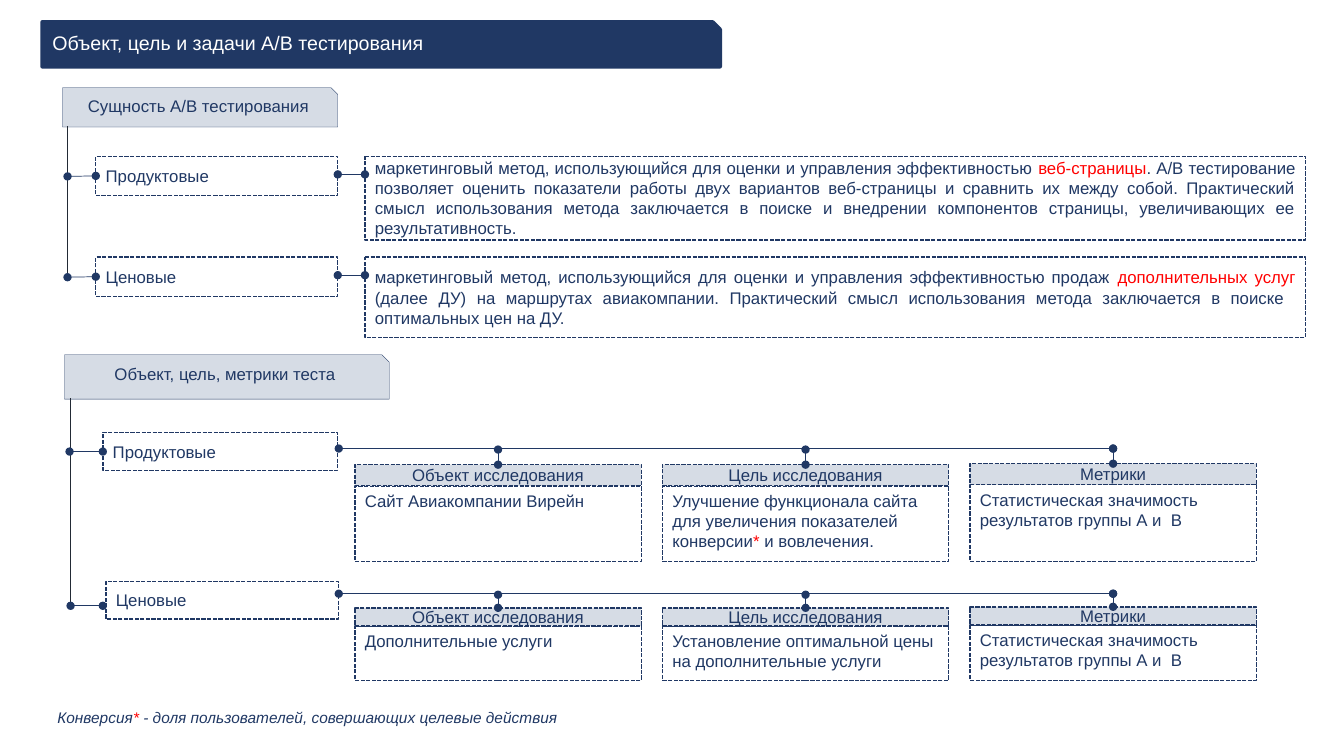
from lxml.etree import SubElement
from pptx import Presentation
from pptx.dml.color import RGBColor
from pptx.enum.dml import MSO_LINE
from pptx.enum.shapes import MSO_CONNECTOR, MSO_SHAPE
from pptx.enum.text import MSO_ANCHOR, PP_ALIGN
from pptx.oxml.ns import qn
from pptx.util import Inches, Pt

COLORS = {"navy": "203864", "pale": "D6DCE5", "white": "FFFFFF",
          "red": "FF0000", "stem": "222A35"}
FONT = "Arial"

# Pieces between bars are highlighted in red
DEFINITIONS = [
    ("Продуктовые", 0.83,
     "маркетинговый метод, использующийся для оценки и управления эффективностью "
     "|веб-страницы|. А/B тестирование позволяет оценить показатели работы двух "
     "вариантов веб-страницы и сравнить их между собой. Практический смысл "
     "использования метода заключается в поиске и внедрении компонентов страницы, "
     "увеличивающих ее результативность."),
    ("Ценовые", 0.8,
     "маркетинговый метод, использующийся для оценки и управления эффективностью "
     "продаж |дополнительных услуг |(далее ДУ) на маршрутах авиакомпании. "
     "Практический смысл использования метода заключается в поиске  оптимальных "
     "цен на ДУ."),
]
CARD_TITLES = ["Объект исследования", "Цель исследования", "Метрики"]
METRICS = "Статистическая значимость результатов группы А и  B"
PRODUCT_CARDS = [
    "Сайт Авиакомпании Вирейн",
    "Улучшение функционала сайта для увеличения показателей конверсии|*| и вовлечения.",
    METRICS,
]
PRICE_CARDS = [
    "Дополнительные услуги",
    "Установление оптимальной цены на дополнительные услуги",
    METRICS,
]


def rgb(name):
    return RGBColor.from_string(COLORS[name])


def write(frame, text, size=12, color="navy", align=PP_ALIGN.LEFT,
          anchor=MSO_ANCHOR.MIDDLE, italic=False):
    frame.word_wrap = True
    frame.vertical_anchor = anchor
    paragraph = frame.paragraphs[0]
    paragraph.alignment = align
    for index, piece in enumerate(text.split("|")):
        run = paragraph.add_run()
        run.text = piece
        run.font.name = FONT
        run.font.size = Pt(size)
        run.font.italic = italic
        run.font.color.rgb = rgb("red" if index % 2 else color)


def add_panel(slide, box, text, kind=MSO_SHAPE.RECTANGLE, fill="white",
              line_width=1, dashed=True, **style):
    panel = slide.shapes.add_shape(kind, *map(Inches, box))
    panel.shadow.inherit = False
    panel.fill.solid()
    panel.fill.fore_color.rgb = rgb(fill)
    panel.line.color.rgb = rgb("navy")
    panel.line.width = Pt(line_width)
    if dashed:
        panel.line.dash_style = MSO_LINE.SQUARE_DOT
    write(panel.text_frame, text, **style)
    return panel


def add_link(slide, start, end, color="navy", dots=True):
    link = slide.shapes.add_connector(MSO_CONNECTOR.STRAIGHT,
                                      *map(Inches, (*start, *end)))
    link.line.color.rgb = rgb(color)
    link.line.width = Pt(0.5)
    properties = link._element.spPr
    if dots:
        outline = properties.find(qn("a:ln"))
        for tip in ("a:headEnd", "a:tailEnd"):
            SubElement(outline, qn(tip), type="oval")
    SubElement(properties, qn("a:effectLst"))
    return link


def draw_title(slide, box):
    add_panel(slide, box, "Объект, цель и задачи А/B тестирования",
              MSO_SHAPE.SNIP_1_RECTANGLE, "navy", 3, False,
              size=14, color="white", anchor=MSO_ANCHOR.TOP)


def draw_section_header(slide, box, text):
    add_panel(slide, box, text, MSO_SHAPE.SNIP_1_RECTANGLE, "pale", 0.25, False,
              align=PP_ALIGN.CENTER, anchor=MSO_ANCHOR.TOP)


def draw_definitions(slide, left, top):
    """Two kinds of testing, each with its explanation."""
    draw_section_header(slide, (left, top, 2.73, 0.39), "Сущность А/В тестирования")
    trunk = left + 0.05
    add_link(slide, (trunk, top + 0.38), (trunk, top + 1.87), "stem", dots=False)
    for index, (name, height, meaning) in enumerate(DEFINITIONS):
        row = top + 0.68 + index
        add_panel(slide, (left + 3, row, 9.33, height), meaning,
                  MSO_SHAPE.FLOWCHART_PROCESS, align=PP_ALIGN.JUSTIFY)
        label = add_panel(slide, (left + 0.33, row, 2.4, 0.39), name)
        branch = add_link(slide, (trunk, row + 0.2), (left + 0.33, row + 0.2))
        branch.end_connect(label, 1)
        add_link(slide, (left + 2.73, row + 0.18), (left + 3, row + 0.18))


def draw_cards(slide, left, top, header_gap, header_height, bottom, bodies):
    """Horizontal line with three cards hanging from it."""
    width, pitch = 2.84, 3.05
    add_link(slide, (left, top), (left + 7.68, top))
    for index, (title, body) in enumerate(zip(CARD_TITLES, bodies)):
        drop = 0 if title == "Метрики" else 0.01
        card_left = left + 0.16 + index * pitch
        header_top = top + header_gap + drop
        body_top = header_top + header_height
        add_panel(slide, (card_left, body_top, width, bottom - body_top), body,
                  anchor=MSO_ANCHOR.TOP)
        header = add_panel(slide, (card_left, header_top, width, header_height),
                           title, fill="pale", align=PP_ALIGN.CENTER)
        middle = card_left + width / 2
        hanger = add_link(slide, (middle, top + drop), (middle, header_top))
        hanger.end_connect(header, 0)


def draw_tests(slide, left, top):
    """Object, goal and metrics of both tests."""
    draw_section_header(slide, (left, top, 3.22, 0.44), "Объект, цель, метрики теста")
    trunk = left + 0.06
    add_link(slide, (trunk, top + 0.43), (trunk, top + 2.53), "stem", dots=False)

    product = add_panel(slide, (left + 0.38, top + 0.77, 2.33, 0.38), "Продуктовые")
    product_branch = add_link(slide, (trunk - 0.01, top + 0.96),
                              (left + 0.38, top + 0.96))
    product_branch.end_connect(product, 1)
    draw_cards(slide, left + 2.72, top + 0.93, 0.15, 0.21, top + 2.05, PRODUCT_CARDS)

    add_panel(slide, (left + 0.41, top + 2.25, 2.31, 0.37), "Ценовые")
    add_link(slide, (trunk, top + 2.49), (left + 0.38, top + 2.49))
    draw_cards(slide, left + 2.72, top + 2.37, 0.13, 0.18, top + 3.23, PRICE_CARDS)


def draw_footnote(slide, box):
    note = slide.shapes.add_textbox(*map(Inches, box))
    write(note.text_frame,
          "Конверсия|*| - доля пользователей, совершающих целевые действия",
          size=11, anchor=MSO_ANCHOR.TOP, italic=True)


def main():
    deck = Presentation()
    deck.slide_width, deck.slide_height = Inches(13.33), Inches(7.5)
    slide = deck.slides.add_slide(deck.slide_layouts[6])
    draw_title(slide, (0.42, 0.22, 6.72, 0.44))
    draw_definitions(slide, 0.62, 0.87)
    draw_tests(slide, 0.64, 3.52)
    draw_footnote(slide, (0.47, 6.98, 9.97, 0.47))
    deck.save("out.pptx")


if __name__ == "__main__":
    main()
